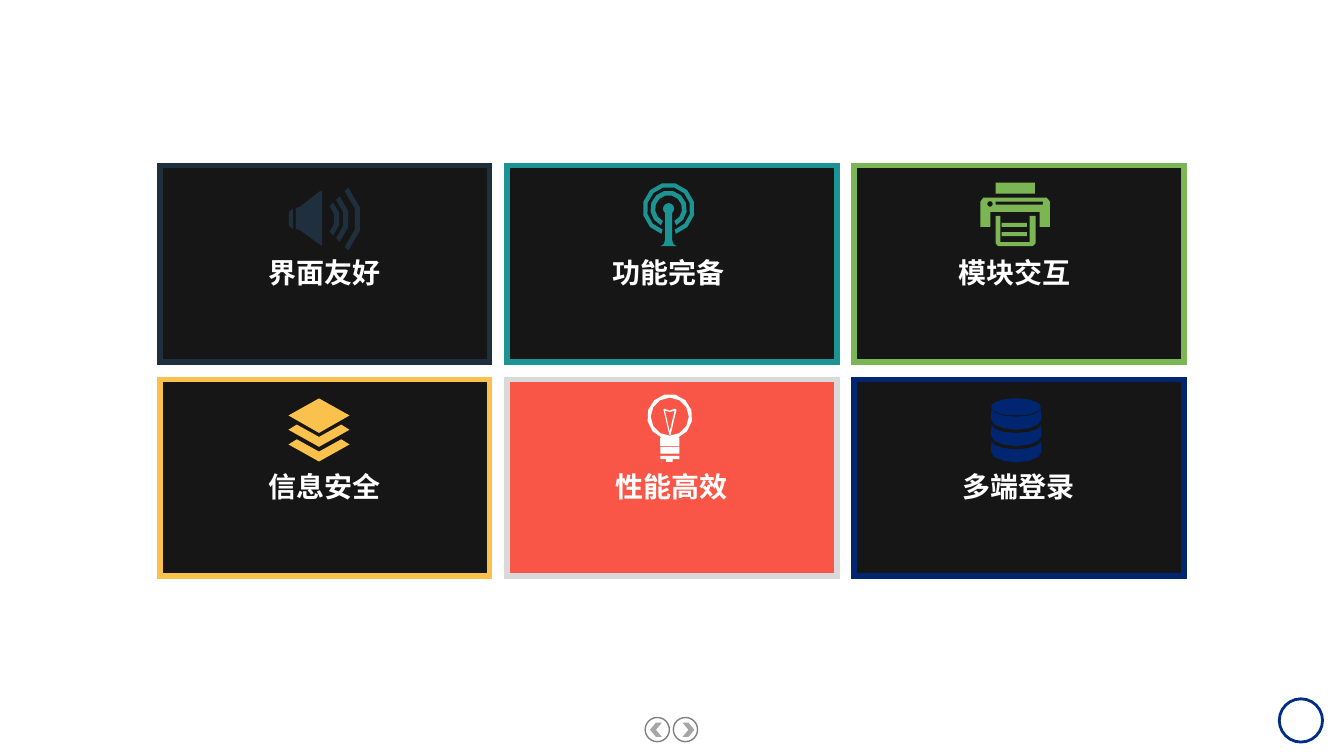
from dataclasses import dataclass
from math import ceil, cos, radians, sin
from typing import Any

from lxml.etree import SubElement
from pptx import Presentation
from pptx.dml.color import RGBColor
from pptx.enum.shapes import MSO_SHAPE
from pptx.enum.text import PP_ALIGN
from pptx.oxml.ns import qn
from pptx.util import Cm, Pt

CARD_LEFT, CARD_TOP = 4.03, 4.17
CARD_WIDTH, CARD_HEIGHT = 8.31, 4.95
COLUMN_STEP, ROW_STEP = 8.75, 5.39
LABEL_TOP, LABEL_WIDTH, LABEL_HEIGHT = 2.14, 7.8, 2.01
DARK, RED, WHITE = "161616", "F95647", "FFFFFF"
LABEL_FONT = {"name": "Calibri", "size": Pt(20), "bold": True}
LABEL_PARAGRAPH = {"alignment": PP_ALIGN.CENTER, "space_before": Pt(4)}


def color(hex_value):
    return RGBColor.from_string(hex_value)


def apply(target, values):
    for name, value in values.items():
        setattr(target, name, value)


def paint(shape, fill=None, line=None, weight=1):
    shape.shadow.inherit = False
    if fill:
        shape.fill.solid()
        shape.fill.fore_color.rgb = color(fill)
    else:
        shape.fill.background()
    if line:
        shape.line.color.rgb = color(line)
        shape.line.width = Pt(weight)
        outline = shape._element.spPr.find(qn("a:ln"))
        SubElement(outline, qn("a:miter"), lim="800000")
    else:
        shape.line.fill.background()


def add_preset(shapes, kind, bounds, rotation=0, **look):
    shape = shapes.add_shape(kind, *map(Cm, bounds))
    shape.rotation = rotation
    paint(shape, **look)


def arc(x, y, radius_x, radius_y, start=0, end=360):
    """Points on an ellipse; angles run clockwise from the right."""
    steps = ceil(abs(end - start) / 30)
    angles = [radians(start + (end - start) * i / steps) for i in range(steps + 1)]
    return [(x + radius_x * cos(a), y + radius_y * sin(a)) for a in angles]


def band(x, y, outer, inner, start, end):
    """Outline of a curved strip between two radii."""
    return arc(x, y, outer, outer, start, end) + arc(x, y, inner, inner, end, start)


def box_points(left, top, right, bottom):
    return [(left, top), (right, top), (right, bottom), (left, bottom)]


@dataclass
class Icon:
    """Drawing area whose lengths are centimetres from its card's corner."""
    shapes: Any
    left: float
    top: float
    fill: str

    def outline(self, *contours):
        """Fill the contours as one shape; inner contours become holes."""
        first, *holes = [[(Cm(x), Cm(y)) for x, y in c] for c in contours]
        builder = self.shapes.build_freeform(*first[0])
        builder.add_line_segments(first[1:], close=True)
        for hole in holes:
            builder.move_to(*hole[0])
            builder.add_line_segments(hole[1:], close=True)
        paint(builder.convert_to_shape(Cm(self.left), Cm(self.top)), self.fill)

    def preset(self, kind, left, top, width, height):
        bounds = (self.left + left, self.top + top, width, height)
        add_preset(self.shapes, kind, bounds, fill=self.fill)


def draw_speaker(icon):
    icon.outline([(3.43, 1.07), (3.53, 1.04), (4.01, 0.66), (4.09, 0.64),
                  (4.09, 2.03), (4.01, 1.98), (3.53, 1.63), (3.43, 1.6)])
    icon.outline([(3.25, 1.17), (3.35, 1.09), (3.35, 1.6), (3.25, 1.52)])
    for radius in (0.58, 0.81, 1.12):
        icon.outline(band(3.96, 1.35, radius, radius - 0.13, -45, 45))


def draw_antenna(icon):
    x, y = 4.07, 1.09
    for outer, inner, gap in ((0.46, 0.34, 25), (0.66, 0.55, 16)):
        icon.outline(band(x, y, outer, inner, 90 + gap, 450 - gap))
    right_side = [(0.09, 0.79), (0.12, 0.89), (0.2, 0.94)]
    icon.outline(arc(x, y, 0.14, 0.14, 130, 410)
                 + [(x + dx, y + dy) for dx, dy in right_side]
                 + [(x - dx, y + dy) for dx, dy in reversed(right_side)])


def draw_printer(icon):
    icon.preset(MSO_SHAPE.RECTANGLE, 3.56, 0.43, 0.99, 0.28)
    icon.outline([(3.25, 0.81), (4.85, 0.81), (4.93, 0.91), (4.93, 1.55),
                  (4.67, 1.55), (4.67, 1.17), (3.43, 1.17), (3.43, 1.55),
                  (3.18, 1.55), (3.18, 0.91)],
                 arc(3.42, 0.97, 0.07, 0.07),
                 box_points(3.56, 0.91, 4.75, 0.99))
    icon.outline([(3.56, 1.27), (3.68, 1.27), (3.68, 1.93), (4.42, 1.93),
                  (4.42, 1.27), (4.57, 1.27), (4.57, 1.96), (4.5, 2.03),
                  (3.62, 2.03), (3.56, 1.96)])
    for top in (1.45, 1.68):
        icon.preset(MSO_SHAPE.RECTANGLE, 3.71, top, 0.64, 0.1)


def draw_layers(icon):
    x = 4.01
    for top in (1.14, 1.51):
        icon.outline([(x, top + 0.31), (x - 0.56, top), (x - 0.77, top + 0.13),
                      (x, top + 0.56), (x + 0.77, top + 0.13), (x + 0.56, top)])
    icon.outline([(x, 0.48), (x + 0.77, 0.91), (x, 1.35), (x - 0.77, 0.91)])


def draw_bulb(icon):
    x, y = 4.1, 0.94
    icon.outline(arc(x, y, 0.57, 0.57, 110, 430)
                 + [(4.34, 1.47), (4.34, 1.68), (3.86, 1.68), (3.86, 1.47)],
                 arc(x, y, 0.48, 0.48))
    icon.preset(MSO_SHAPE.RECTANGLE, 3.86, 1.7, 0.48, 0.17)
    icon.outline([(3.86, 1.93), (4.34, 1.93), (4.34, 2.01), (4.17, 2.01),
                  (4.17, 2.08), (4.01, 2.08), (4.01, 2.01), (3.86, 2.01)])
    icon.outline([(3.94, 0.76), (3.97, 0.74), (x, 0.79), (4.22, 0.74),
                  (4.27, 0.76), (4.12, 1.4), (4.09, 1.4)],
                 [(3.98, 0.79), (x, 0.82), (4.22, 0.79), (x, 1.32)])


def draw_database(icon):
    x = 4.08
    for level in range(3):
        y = 0.74 + 0.41 * level
        icon.outline(arc(x, y, 0.62, 0.2, 0, 180)
                     + arc(x, y + 0.26, 0.64, 0.27, 180, 0))
    icon.preset(MSO_SHAPE.OVAL, 3.45, 0.48, 1.25, 0.43)


# Label, label left, border, card fill, icon fill, icon
CARDS = [
    ("界面友好", 4.27, "202F3D", DARK, "202F3D", draw_speaker),
    ("功能完备", 12.95, "1C9494", DARK, "1C9494", draw_antenna),
    ("模块交互", 21.67, "7CB554", DARK, "7CB554", draw_printer),
    ("信息安全", 4.27, "FAC14D", DARK, "FAC14D", draw_layers),
    ("性能高效", 13.03, "D9D9D9", RED, WHITE, draw_bulb),
    ("多端登录", 21.77, "002672", DARK, "002672", draw_database),
]


def add_label(page, text, left, top):
    box = page.shapes.add_textbox(*map(Cm, (left, top, LABEL_WIDTH, LABEL_HEIGHT)))
    box.text_frame.word_wrap = True
    para = box.text_frame.paragraphs[0]
    apply(para, LABEL_PARAGRAPH)
    span = para.add_run()
    span.text = text
    apply(span.font, LABEL_FONT)
    span.font.color.rgb = color(WHITE)


def add_card(page, index, label, label_left, border, fill, icon_fill, draw_icon):
    row, column = divmod(index, 3)
    left, top = CARD_LEFT + column * COLUMN_STEP, CARD_TOP + row * ROW_STEP
    add_preset(page.shapes, MSO_SHAPE.RECTANGLE, (left, top, CARD_WIDTH, CARD_HEIGHT),
               fill=fill, line=border, weight=4)
    draw_icon(Icon(page.shapes.add_group_shape().shapes, left, top, icon_fill))
    add_label(page, label, label_left, top + LABEL_TOP)


def add_navigation(page):
    for ring_left, chevron_left, rotation in ((16.26, 16.38, 180), (16.97, 17.2, 0)):
        shapes = page.shapes.add_group_shape().shapes
        add_preset(shapes, MSO_SHAPE.OVAL, (ring_left, 18.08, 0.61, 0.61), line="808080")
        add_preset(shapes, MSO_SHAPE.CHEVRON, (chevron_left, 18.21, 0.3, 0.36),
                   rotation, fill="A6A6A6")
    add_preset(page.shapes, MSO_SHAPE.OVAL, (32.24, 17.61, 1.09, 1.09),
               line="002D86", weight=2)


def main():
    deck = Presentation()
    apply(deck, {"slide_width": Cm(33.87), "slide_height": Cm(19.05)})
    page = deck.slides.add_slide(deck.slide_layouts[6])
    add_navigation(page)
    for index, card in enumerate(CARDS):
        add_card(page, index, *card)
    deck.save("out.pptx")


if __name__ == "__main__":
    main()
